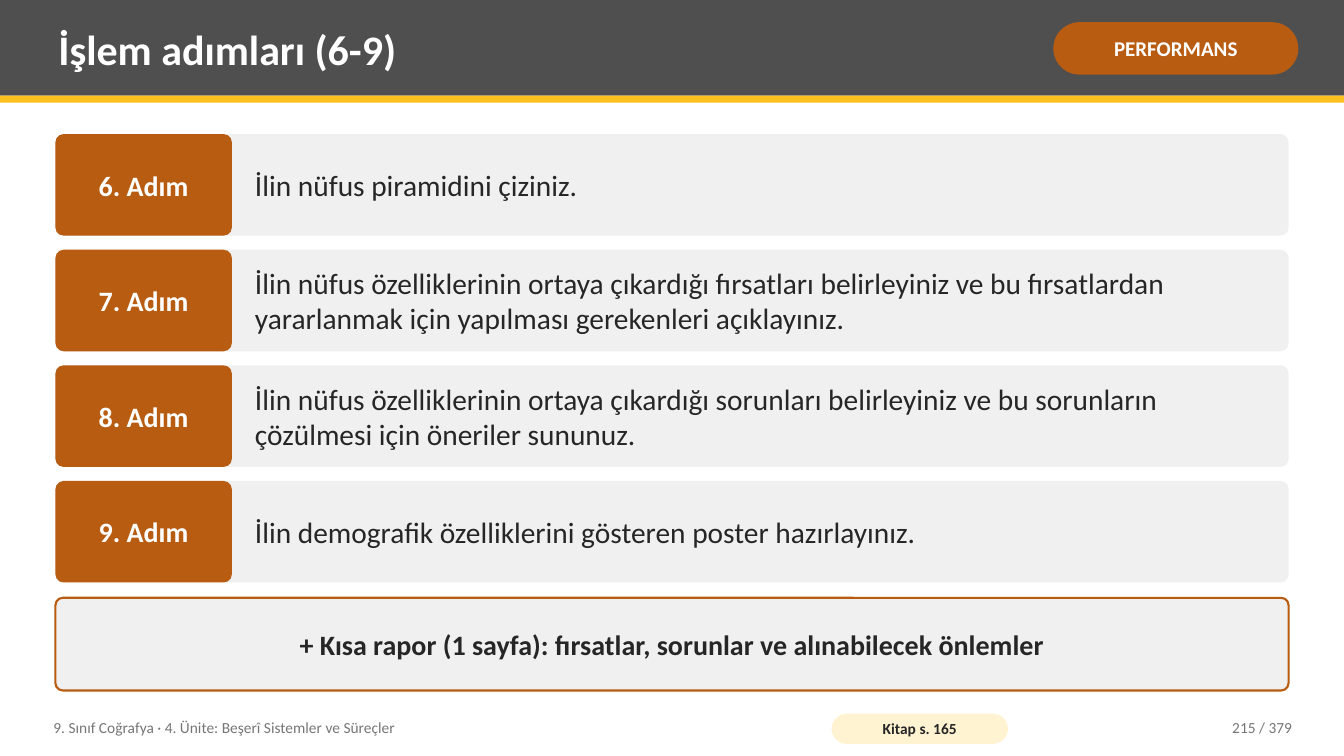
import pptx
import pptx.util
import pptx.dml.color
import pptx.enum.shapes
import pptx.enum.text

Pt = pptx.util.Pt
RGB = pptx.dml.color.RGBColor
KIND = pptx.enum.shapes.MSO_SHAPE
ALIGN = pptx.enum.text.PP_ALIGN

DARK = RGB(0x4F, 0x4F, 0x4F)
GOLD = RGB(0xFC, 0xC0, 0x21)
RUST = RGB(0xB8, 0x5C, 0x12)
PALE = RGB(0xF0, 0xF0, 0xF0)
CREAM = RGB(0xFF, 0xF3, 0xD1)
INK = RGB(0x26, 0x26, 0x26)
GREY = RGB(0x76, 0x76, 0x76)
WHITE = RGB(0xFF, 0xFF, 0xFF)

deck = pptx.Presentation()
deck.slide_width, deck.slide_height = Pt(960), Pt(540)
slide = deck.slides.add_slide(deck.slide_layouts[5])


def add_box(left, top, width, height, fill, round=None):
    """Add a plain filled box; round is the corner ratio, None for square."""
    kind = KIND.RECTANGLE if round is None else KIND.ROUNDED_RECTANGLE
    box = slide.shapes.add_shape(kind, Pt(left), Pt(top), Pt(width), Pt(height))
    if round is not None:
        box.adjustments[0] = round
    box.shadow.inherit = False
    box.fill.solid()
    box.fill.fore_color.rgb = fill
    box.line.fill.background()
    return box


def set_text(shape, text, size, color, bold=False, align=ALIGN.LEFT, pad=(5.76, 2.88)):
    """Fill a shape with one styled paragraph; pad is the side and top inset."""
    frame = shape.text_frame
    frame.text = text
    frame.word_wrap = True
    frame.auto_size = pptx.enum.text.MSO_AUTO_SIZE.NONE
    frame.vertical_anchor = pptx.enum.text.MSO_ANCHOR.MIDDLE
    frame.margin_left = frame.margin_right = Pt(pad[0])
    frame.margin_top = frame.margin_bottom = Pt(pad[1])
    para = frame.paragraphs[0]
    para.alignment = align
    font = para.runs[0].font
    font.name, font.size, font.bold = "Calibri", Pt(size), bold
    font.color.rgb = color


# Header
add_box(0, 0, 960, 68.4, DARK)
add_box(0, 68.4, 960, 5.04, GOLD)
title = slide.shapes.title
title.left, title.top, title.width, title.height = Pt(36), Pt(5), Pt(702), Pt(59)
set_text(title, "İşlem adımları (6-9)", 30, WHITE, True)
title.element.getparent().append(title.element)  # bring in front of the bar
badge = add_box(752.4, 15.84, 175, 37.44, RUST, 0.5)
set_text(badge, "PERFORMANS", 15, WHITE, True, ALIGN.CENTER, (3.6, 1.44))

# Steps
steps = [
    "İlin nüfus piramidini çiziniz.",
    "İlin nüfus özelliklerinin ortaya çıkardığı fırsatları belirleyiniz ve bu "
    "fırsatlardan yararlanmak için yapılması gerekenleri açıklayınız.",
    "İlin nüfus özelliklerinin ortaya çıkardığı sorunları belirleyiniz ve bu "
    "sorunların çözülmesi için öneriler sununuz.",
    "İlin demografik özelliklerini gösteren poster hazırlayınız.",
]
HIGH = 72.5
for row, step in enumerate(steps):
    top = 95.8 + 82.6 * row
    add_box(39.6, top, 880.8, HIGH, PALE, 0.08)
    label = add_box(39.6, top, 126, HIGH, RUST, 0.08)
    set_text(label, f"{row + 6}. Adım", 20, WHITE, True, ALIGN.CENTER, (4.32, 5.76))
    body = slide.shapes.add_textbox(Pt(176.4), Pt(top), Pt(736.6), Pt(HIGH))
    set_text(body, step, 21, INK)

# Report
report = add_box(39.6, 427, 880.8, 66.2, PALE, 0.08)
report.line.color.rgb = RUST
report.line.width = Pt(1.5)
set_text(report, "+ Kısa rapor (1 sayfa): fırsatlar, sorunlar ve alınabilecek önlemler",
         20, INK, True, ALIGN.CENTER, (10.08, 5.76))

# Footer
notes = [
    (32.4, 547.2, "9. Sınıf Coğrafya · 4. Ünite: Beşerî Sistemler ve Süreçler", ALIGN.LEFT),
    (813.6, 115.2, "215 / 379", ALIGN.RIGHT),
]
for left, width, text, align in notes:
    note = slide.shapes.add_textbox(Pt(left), Pt(506.9), Pt(width), Pt(25.9))
    set_text(note, text, 11, GREY, align=align)
book = add_box(594, 509.8, 126, 21.6, CREAM, 0.5)
set_text(book, "Kitap s. 165", 11, INK, True, ALIGN.CENTER, (2.88, 0))

deck.save("out.pptx")
